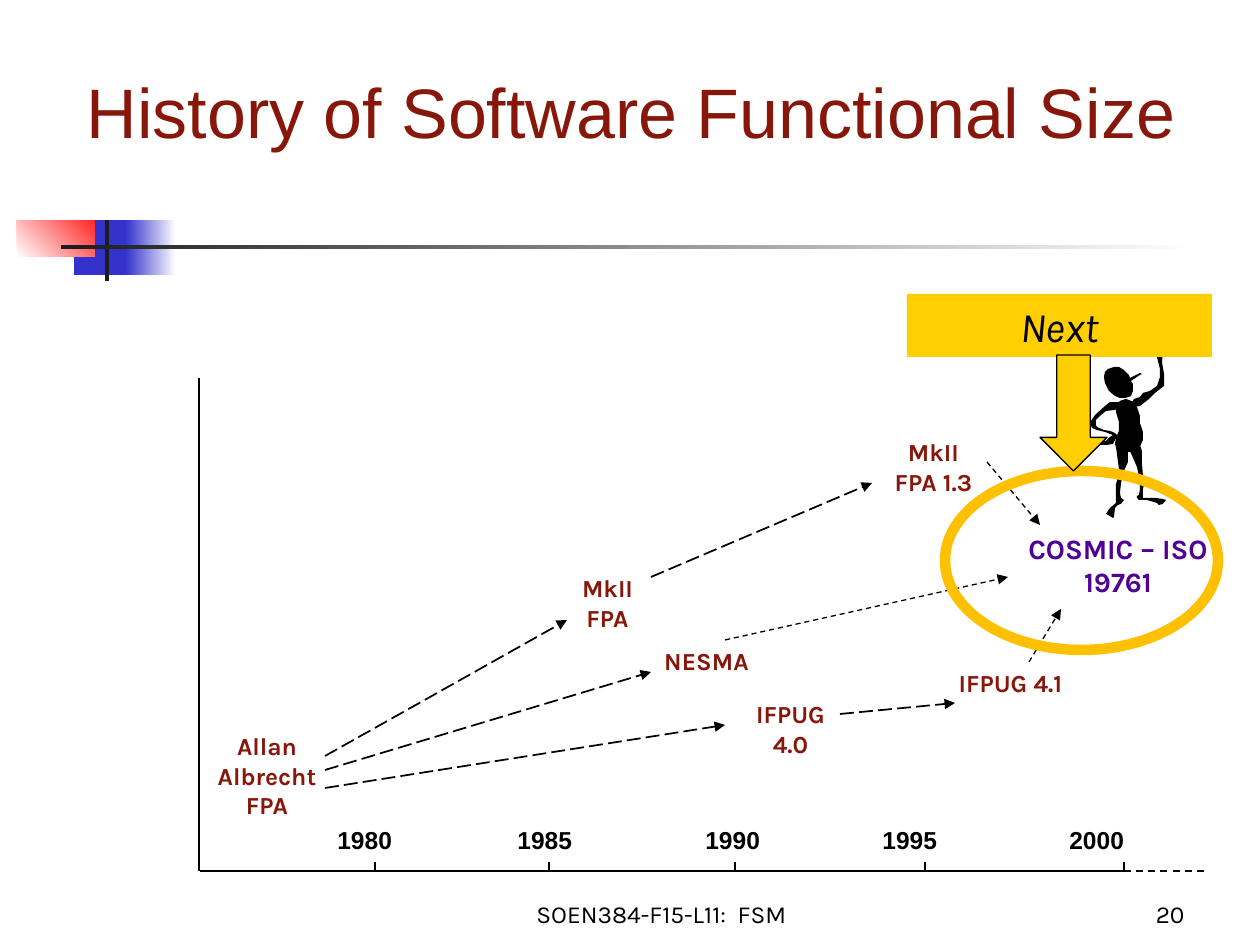
from dataclasses import dataclass
from lxml.etree import SubElement
from pptx import Presentation
from pptx.dml.color import RGBColor as RGB
from pptx.enum.dml import MSO_LINE as Dash
from pptx.enum.shapes import MSO_CONNECTOR as Link, MSO_SHAPE as Kind
from pptx.enum.text import MSO_ANCHOR as Anchor, PP_ALIGN as Align
from pptx.oxml.ns import qn
from pptx.util import Pt

SCALE = 914400 / 126


@dataclass(frozen=True)
class Theme:
    black: str = "000000"
    ink: str = "1C1C1C"
    white: str = "FFFFFF"
    blue: str = "3333CC"
    red: str = "FF0000"
    maroon: str = "87170B"
    purple: str = "500093"
    gold: str = "FFCF01"
    ring: str = "FFC000"
    sans: str = "Arial"
    body: str = "Karla"
    head: int = 40
    call: int = 24
    goal: int = 16
    small: int = 14


T = Theme()

LABELS = [
    ("Allan Albrecht FPA", 199, 725, 136, 101),
    ("IFPUG 4.0", 725, 693, 131, 71),
    ("IFPUG 4.1", 945, 662, 131, 71),
    ("MkII FPA", 546, 567, 123, 71),
    ("MkII FPA 1.3", 872, 431, 123, 71),
    ("NESMA", 636, 640, 141, 42),
]
PATHS = [
    (325, 788, 725, 725), (840, 714, 955, 703), (325, 756, 567, 620),
    (651, 577, 872, 483), (325, 770, 651, 672),
]
MERGES = [(1029, 662, 1061, 609), (725, 640, 1008, 577), (987, 462, 1040, 525)]
YEARS = ["1980", "1985", "1990", "1995", "2000"]
STOPS = [180, 368, 545, 732]
TICKS = [375, 549, 735, 925, 1124]

HEAD = [
    (1129, 375), (1124, 370), (1119, 367), (1114, 367), (1108, 369), (1105, 372),
    (1104, 377), (1105, 383), (1109, 391), (1115, 396), (1120, 398), (1125, 398),
    (1129, 397), (1131, 396), (1133, 391), (1133, 384), (1131, 381), (1140, 375),
    (1142, 374), (1140, 373), (1130, 378),
]
RAISED = [
    (1140, 397), (1134, 399), (1131, 404), (1134, 407), (1140, 406), (1149, 399),
    (1155, 393), (1164, 386), (1164, 374), (1162, 362), (1163, 353), (1164, 350),
    (1158, 345), (1159, 339), (1158, 336), (1155, 337), (1155, 347), (1154, 350),
    (1147, 349), (1149, 352), (1153, 352), (1157, 357), (1160, 369), (1160, 377),
    (1157, 386), (1150, 391), (1143, 393),
]
BENT = [
    (1121, 403), (1118, 402), (1110, 402), (1105, 406), (1095, 415), (1091, 421),
    (1090, 423), (1092, 428), (1097, 430), (1105, 432), (1113, 435), (1110, 437),
    (1106, 441), (1099, 440), (1096, 441), (1097, 444), (1101, 445), (1106, 445),
    (1113, 444), (1116, 438), (1118, 436), (1115, 433), (1110, 431), (1104, 430),
    (1097, 427), (1096, 425), (1096, 420), (1101, 415), (1106, 411), (1114, 410),
    (1121, 408),
]
TORSO = [
    (1140, 416), (1137, 407), (1134, 402), (1126, 399), (1120, 401), (1116, 406),
    (1116, 412), (1119, 422), (1119, 431), (1116, 438), (1115, 444), (1116, 447),
    (1119, 450), (1124, 451), (1128, 452), (1133, 452), (1139, 449), (1143, 440),
    (1143, 432), (1140, 423),
]
LEFT = [
    (1128, 444), (1121, 442), (1119, 444), (1116, 447), (1119, 469), (1119, 474),
    (1116, 484), (1116, 503), (1110, 508), (1106, 514), (1108, 515), (1113, 518),
    (1114, 517), (1115, 508), (1118, 505), (1121, 504), (1124, 500), (1121, 498),
    (1120, 493), (1121, 483), (1124, 471), (1128, 462),
]
RIGHT = [
    (1142, 451), (1140, 445), (1137, 442), (1130, 442), (1130, 451), (1134, 460),
    (1137, 467), (1139, 476), (1140, 484), (1140, 490), (1139, 495), (1137, 496),
    (1137, 498), (1139, 500), (1147, 500), (1157, 503), (1159, 505), (1163, 504),
    (1166, 500), (1163, 499), (1155, 498), (1143, 498), (1143, 490), (1144, 484),
    (1143, 475), (1142, 464),
]


def px(n):
    return round(n * SCALE)


def rgb(tone):
    return RGB.from_string(tone)


def shape(slide, kind, box, fill=None, line=None, width=1):
    item = slide.shapes.add_shape(kind, *map(px, box))
    paint(item, fill, line, width)
    return item


def paint(item, fill, line=None, width=1):
    item.shadow.inherit = False
    if fill:
        item.fill.solid()
        item.fill.fore_color.rgb = rgb(fill)
    else:
        item.fill.background()
    if line:
        item.line.color.rgb = rgb(line)
        item.line.width = Pt(width)
    else:
        item.line.fill.background()


def fade(slide, box, start, end, angle=0):
    item = shape(slide, Kind.RECTANGLE, box, T.white)
    item.fill.gradient()
    item.fill.gradient_angle = angle
    for stop, tone, pos in zip(item.fill.gradient_stops, (start, end), (0, 1)):
        stop.color.rgb = rgb(tone)
        stop.position = pos


def write(item, words, size, tone, face=T.body, align=Align.CENTER,
          anchor=Anchor.TOP, bold=False, slant=False):
    frame = item.text_frame
    frame.word_wrap = True
    frame.vertical_anchor = anchor
    frame.text = words
    para = frame.paragraphs[0]
    para.alignment = align
    for run in para.runs:
        font = run.font
        font.name, font.size, font.bold, font.italic = face, Pt(size), bold, slant
        font.color.rgb = rgb(tone)


def note(slide, words, box, size=T.small, tone=T.black, **look):
    item = slide.shapes.add_textbox(*map(px, box))
    write(item, words, size, tone, **look)
    return item


def rule(slide, ends, width=1, dash=None, arrow=False):
    item = slide.shapes.add_connector(Link.STRAIGHT, *map(px, ends))
    item.line.color.rgb = rgb(T.black)
    item.line.width = Pt(width)
    if dash:
        item.line.dash_style = dash
    if arrow:
        SubElement(item.line._get_or_add_ln(), qn("a:tailEnd"), type="triangle")
    SubElement(item._element.spPr, qn("a:effectLst"))


def banner(slide):
    shape(slide, Kind.RECTANGLE, (74, 209, 58, 66), T.blue)
    fade(slide, (126, 209, 50, 66), T.blue, T.white)
    fade(slide, (17, 199, 78, 58), T.white, T.red, 45)
    shape(slide, Kind.RECTANGLE, (105, 136, 4, 145), T.ink)
    fade(slide, (61, 245, 1134, 4), T.ink, T.white)
    title = slide.shapes.title
    title._element.getparent().append(title._element)
    title.left, title.top, title.width, title.height = map(px, (0, 0, 1207, 220))
    title.fill.solid()
    title.fill.fore_color.rgb = rgb(T.white)
    write(title, "History of Software Functional Size", T.head, T.maroon,
          T.sans, Align.RIGHT, Anchor.MIDDLE)
    title.text_frame.margin_right = px(32)


def axis(slide):
    rule(slide, (199, 378, 199, 871))
    rule(slide, (200, 871, 1124, 871))
    rule(slide, (1124, 871, 1207, 871), dash=Dash.DASH)
    for x in TICKS:
        rule(slide, (x, 862, x, 870))
    row = note(slide, "\t".join(YEARS), (325, 819, 935, 42),
               face=T.sans, align=Align.LEFT, bold=True)
    para = row.text_frame.paragraphs[0]
    tabs = SubElement(para._p.get_or_add_pPr(), qn("a:tabLst"))
    for stop in STOPS:
        SubElement(tabs, qn("a:tab"), pos=str(px(stop)), algn="l")


def person(slide):
    group = slide.shapes.add_group_shape()
    for part in (HEAD, RAISED, BENT, TORSO, LEFT, RIGHT):
        pen = group.shapes.build_freeform(*part[0], scale=SCALE)
        pen.add_line_segments(part[1:], close=True)
        paint(pen.convert_to_shape(), T.black)


def callout(slide):
    shape(slide, Kind.OVAL, (945, 471, 273, 179), None, T.ring, 6)
    box = shape(slide, Kind.RECTANGLE, (907, 294, 305, 63), T.gold)
    write(box, "Next", T.call, T.black, slant=True)
    shape(slide, Kind.DOWN_ARROW, (1040, 355, 67, 116), T.gold, T.black, 0.75)


def main():
    deck = Presentation()
    deck.slide_width, deck.slide_height = px(1260), px(945)
    slide = deck.slides.add_slide(deck.slide_layouts[5])
    banner(slide)
    note(slide, "SOEN384-F15-L11:  FSM", (462, 872, 399, 63), anchor=Anchor.BOTTOM)
    note(slide, "20", (935, 872, 262, 63), align=Align.RIGHT, anchor=Anchor.BOTTOM)
    axis(slide)
    for words, *box in LABELS:
        note(slide, words, box, tone=T.maroon, bold=True)
    for ends in PATHS:
        rule(slide, ends, dash=Dash.LONG_DASH, arrow=True)
    note(slide, "COSMIC – ISO 19761", (1008, 525, 220, 80), T.goal, T.purple,
         anchor=Anchor.MIDDLE, bold=True)
    for ends in MERGES:
        rule(slide, ends, 0.75, Dash.DASH, True)
    person(slide)
    callout(slide)
    deck.save("out.pptx")


if __name__ == "__main__":
    main()
